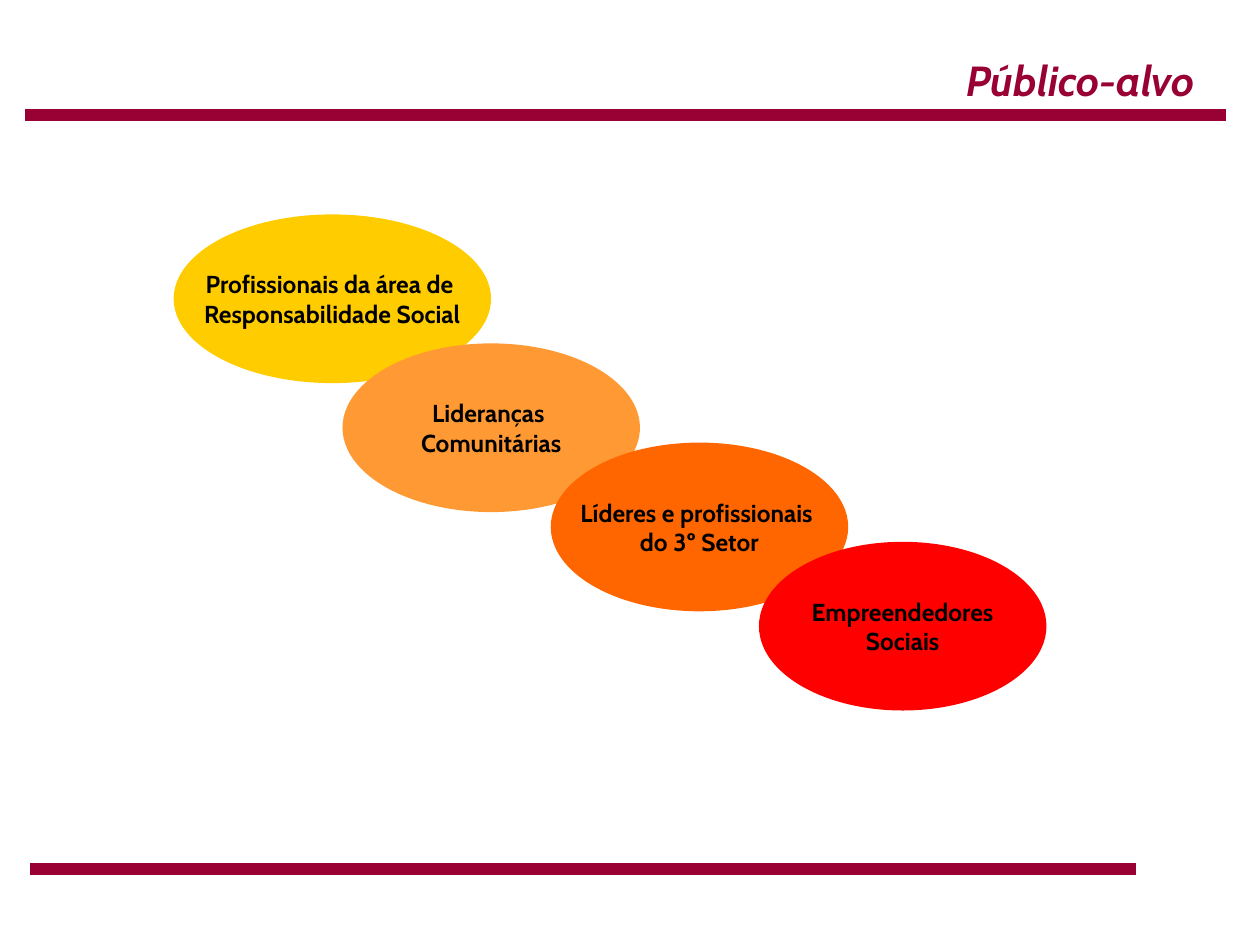
from dataclasses import dataclass

from lxml import etree
from pptx import Presentation
from pptx.dml.color import RGBColor
from pptx.enum.shapes import MSO_CONNECTOR, MSO_SHAPE
from pptx.enum.text import MSO_ANCHOR, PP_ALIGN
from pptx.oxml.ns import qn
from pptx.util import Pt

STRAIGHT = MSO_CONNECTOR.STRAIGHT
OVAL = MSO_SHAPE.OVAL
MIDDLE = MSO_ANCHOR.MIDDLE
CENTER = PP_ALIGN.CENTER
RIGHT = PP_ALIGN.RIGHT


@dataclass(frozen=True)
class Theme:
    font: str = "Cabin"
    title_size: float = 24
    label_size: float = 14
    rule_width: float = 7
    wine: str = "990033"
    black: str = "000000"
    yellow: str = "FFCC00"
    light_orange: str = "FF9933"
    orange: str = "FF6600"
    red: str = "FF0000"


class SlideBuilder:
    def __init__(self, slide, theme):
        self.slide = slide
        self.theme = theme

    def add_run(self, paragraph, text, size, color, italic=False):
        run = paragraph.add_run()
        run.text = text
        font = run.font
        font.name = self.theme.font
        font.size = Pt(size)
        font.bold = True
        font.italic = italic
        font.color.rgb = RGBColor.from_string(color)

    def add_rule(self, left, right, y):
        """Draw a thick horizontal line across the page."""
        rule = self.slide.shapes.add_connector(
            STRAIGHT, Pt(left), Pt(y), Pt(right), Pt(y))
        rule.line.width = Pt(self.theme.rule_width)
        rule.line.color.rgb = RGBColor.from_string(self.theme.wine)
        etree.SubElement(rule._element.spPr, qn("a:effectLst"))

    def add_title(self, text, left, top, width, height):
        box = self.slide.shapes.add_textbox(
            Pt(left), Pt(top), Pt(width), Pt(height))
        box.text_frame.word_wrap = True
        paragraph = box.text_frame.paragraphs[0]
        paragraph.alignment = RIGHT
        self.add_run(paragraph, text, self.theme.title_size,
                     self.theme.wine, italic=True)

    def add_ellipse(self, lines, color, left, top, width, height):
        ellipse = self.slide.shapes.add_shape(
            OVAL, Pt(left), Pt(top), Pt(width), Pt(height))
        ellipse.shadow.inherit = False
        ellipse.fill.solid()
        ellipse.fill.fore_color.rgb = RGBColor.from_string(color)
        ellipse.line.fill.background()
        frame = ellipse.text_frame
        frame.word_wrap = False
        frame.vertical_anchor = MIDDLE
        for index, line in enumerate(lines):
            paragraph = frame.add_paragraph() if index else frame.paragraphs[0]
            paragraph.alignment = CENTER
            self.add_run(paragraph, line, self.theme.label_size,
                         self.theme.black)


def main():
    presentation = Presentation()
    presentation.slide_width = Pt(720)
    presentation.slide_height = Pt(540)
    slide = presentation.slides.add_slide(presentation.slide_layouts[6])
    theme = Theme()
    builder = SlideBuilder(slide, theme)

    builder.add_rule(14.2, 700.3, 65.7)
    builder.add_rule(17.2, 649.2, 496.6)
    builder.add_title("Público-alvo", 391, 27.4, 298.8, 36)

    ellipse_height = 96.4
    audiences = [
        (["Profissionais da área de ", "Responsabilidade Social"],
         theme.yellow, 99.2, 122.5, 181.4),
        (["Lideranças ", "Comunitárias"],
         theme.light_orange, 195.7, 196.2, 170),
        (["Líderes e profissionais ", "do 3º Setor"],
         theme.orange, 314.7, 252.9, 170),
        (["Empreendedores", "Sociais"],
         theme.red, 433.7, 309.6, 164.3),
    ]
    for lines, color, left, top, width in audiences:
        builder.add_ellipse(lines, color, left, top, width, ellipse_height)

    presentation.save("out.pptx")


if __name__ == "__main__":
    main()
